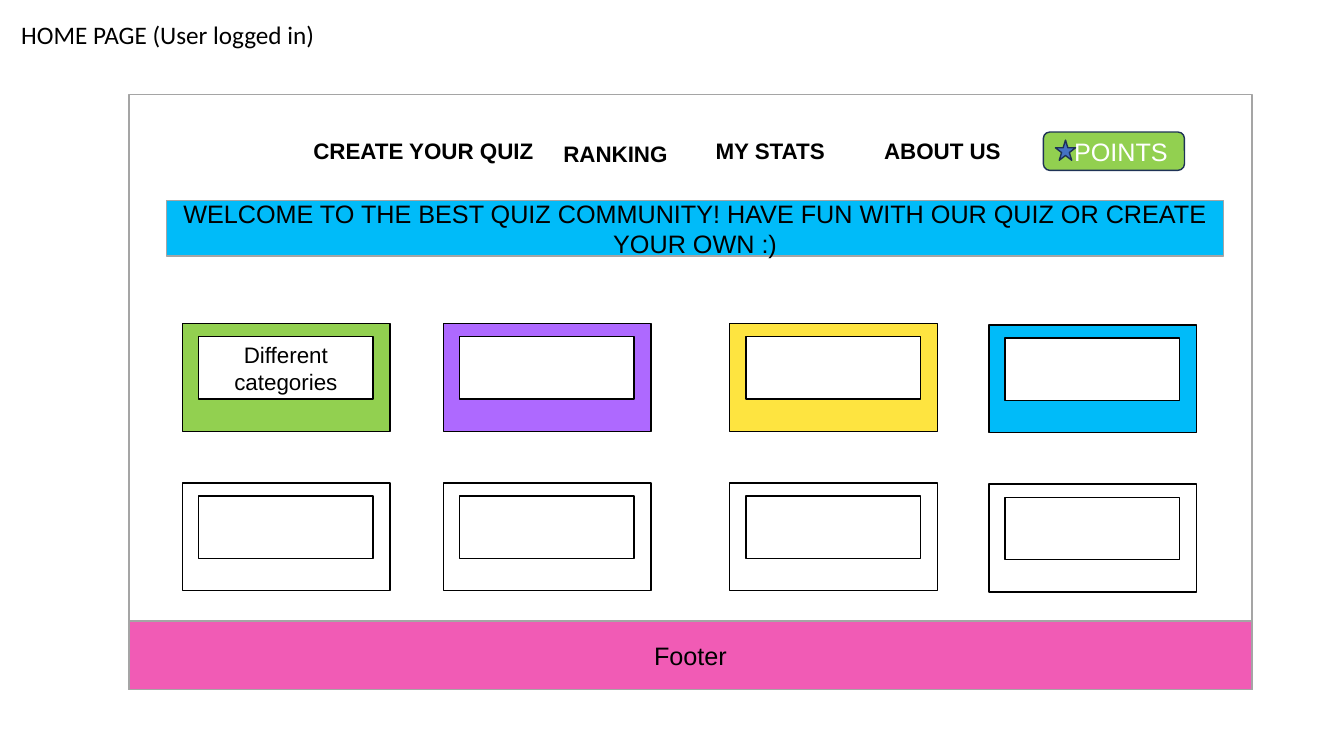
from pptx import Presentation
from pptx.dml.color import RGBColor
from pptx.enum.shapes import MSO_SHAPE
from pptx.enum.text import MSO_ANCHOR, MSO_AUTO_SIZE, PP_ALIGN
from pptx.util import Inches, Pt

RECTANGLE = MSO_SHAPE.RECTANGLE
ROUNDED = MSO_SHAPE.ROUNDED_RECTANGLE
STAR = MSO_SHAPE.STAR_5_POINT
CENTER, LEFT = PP_ALIGN.CENTER, PP_ALIGN.LEFT
MIDDLE, TOP = MSO_ANCHOR.MIDDLE, MSO_ANCHOR.TOP
FIXED_SIZE = MSO_AUTO_SIZE.NONE

BLACK = RGBColor(0x00, 0x00, 0x00)
WHITE = RGBColor(0xFF, 0xFF, 0xFF)
GRAY = RGBColor(0xA5, 0xA5, 0xA5)
GREEN = RGBColor(0x92, 0xD0, 0x50)
PURPLE = RGBColor(0xAE, 0x69, 0xFF)
YELLOW = RGBColor(0xFE, 0xE4, 0x40)
SKY = RGBColor(0x00, 0xBB, 0xF9)
PINK = RGBColor(0xF1, 0x5B, 0xB5)
BLUE = RGBColor(0x44, 0x72, 0xC4)
NAVY = RGBColor(0x1E, 0x32, 0x56)


class Wireframe:
    """Draws on one page; every length is a percentage of the page size."""

    font_name = "Arial"

    def __init__(self, deck):
        self.width, self.height = deck.slide_width, deck.slide_height
        self.page = deck.slides.add_slide(deck.slide_layouts[5])

    def across(self, share):
        return round(self.width * share / 100)

    def area(self, left, top, width, height):
        return (self.across(left), round(self.height * top / 100),
                self.across(width), round(self.height * height / 100))

    def set_text(self, item, text, size, color=BLACK, bold=False,
                 font_name=font_name, align=CENTER, anchor=MIDDLE, wrap=True):
        frame = item.text_frame
        frame.word_wrap = wrap
        frame.vertical_anchor = anchor
        para = frame.paragraphs[0]
        para.text = text
        para.alignment = align
        para.font.name = font_name
        para.font.size = Pt(size)
        para.font.bold = bold
        para.font.color.rgb = color

    def title(self, text, *place):
        heading = self.page.shapes.title
        heading.left, heading.top, heading.width, heading.height = self.area(*place)
        self.set_text(heading, text, 18, font_name="Calibri", align=LEFT,
                      anchor=TOP, wrap=False)
        heading.text_frame.auto_size = FIXED_SIZE

    def label(self, text, *place):
        box = self.page.shapes.add_textbox(*self.area(*place))
        self.set_text(box, text, 16, bold=True)

    def block(self, place, fill, line=BLACK, kind=RECTANGLE):
        shape = self.page.shapes.add_shape(kind, *self.area(*place))
        shape.shadow.inherit = False
        shape.fill.solid()
        shape.fill.fore_color.rgb = fill
        shape.line.color.rgb = line
        shape.line.width = Pt(1)
        return shape

    def card(self, left, top, fill, text=""):
        self.block((left, top, 15.45, 14.27), fill)
        inset = self.block((left + 1.2, top + 1.73, 12.98, 8.27), WHITE)
        if text:
            self.set_text(inset, text, 16)


def main():
    deck = Presentation()
    deck.slide_width, deck.slide_height = Inches(13.33), Inches(7.5)
    home = Wireframe(deck)

    # Heading and browser frame
    home.title("HOME PAGE (User logged in)", 0.83, 1.87, 24, 5.33)
    home.block((9.6, 12.53, 83.55, 78.67), WHITE, GRAY)

    # Navigation
    for text, left, top, width in (
        ("CREATE YOUR QUIZ", 22.13, 16.27, 18.75),
        ("RANKING", 39.3, 16.67, 12.98),
        ("MY STATS", 47.93, 16.27, 18.75),
        ("ABOUT US", 60.75, 16.27, 18.75),
    ):
        home.label(text, left, top, width, 7.33)

    # Points button, with its label moved right of the star
    button = home.block((77.63, 17.47, 10.5, 5.07), GREEN, NAVY, ROUNDED)
    home.set_text(button, "POINTS", 18, WHITE)
    button.text_frame.margin_left = home.across(1.4)
    button.text_frame.margin_right = home.across(0.35)
    home.block((78.53, 18.53, 1.5, 2.67), BLUE, NAVY, STAR)

    # Welcome banner
    banner = home.block((12.38, 26.53, 78.68, 7.33), SKY, GRAY)
    home.set_text(banner, "WELCOME TO THE BEST QUIZ COMMUNITY! HAVE FUN WITH "
                          "OUR QUIZ OR CREATE YOUR OWN :)", 18)

    # Category cards: a coloured row above a plain row
    for left, drop, color, text in (
        (13.58, 0, GREEN, "Different categories"),
        (33, 0, PURPLE, ""),
        (54.3, 0, YELLOW, ""),
        (73.58, 0.17, SKY, ""),
    ):
        home.card(left, 42.8 + drop, color, text)
        home.card(left, 63.87 + drop, WHITE)

    # Footer
    footer = home.block((9.6, 82.13, 83.55, 9.07), PINK, GRAY)
    home.set_text(footer, "Footer", 18)

    deck.save("out.pptx")


if __name__ == "__main__":
    main()
